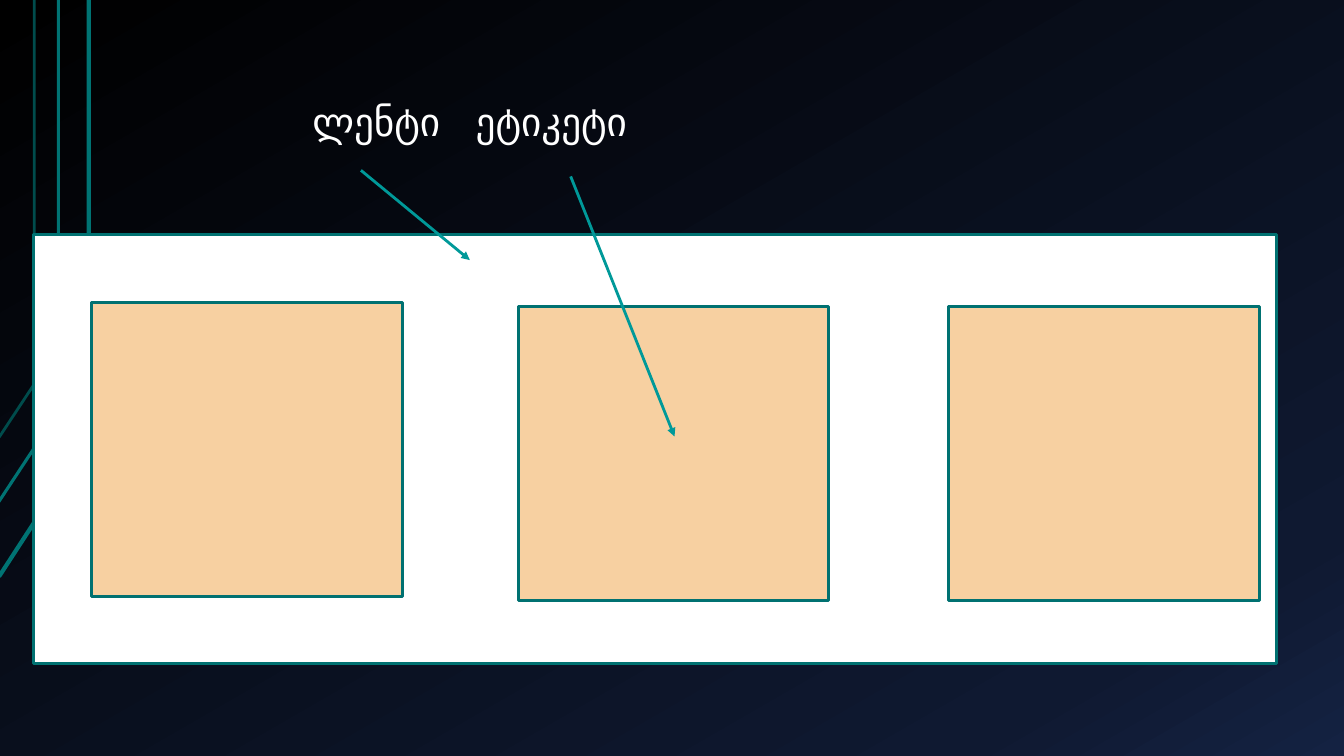
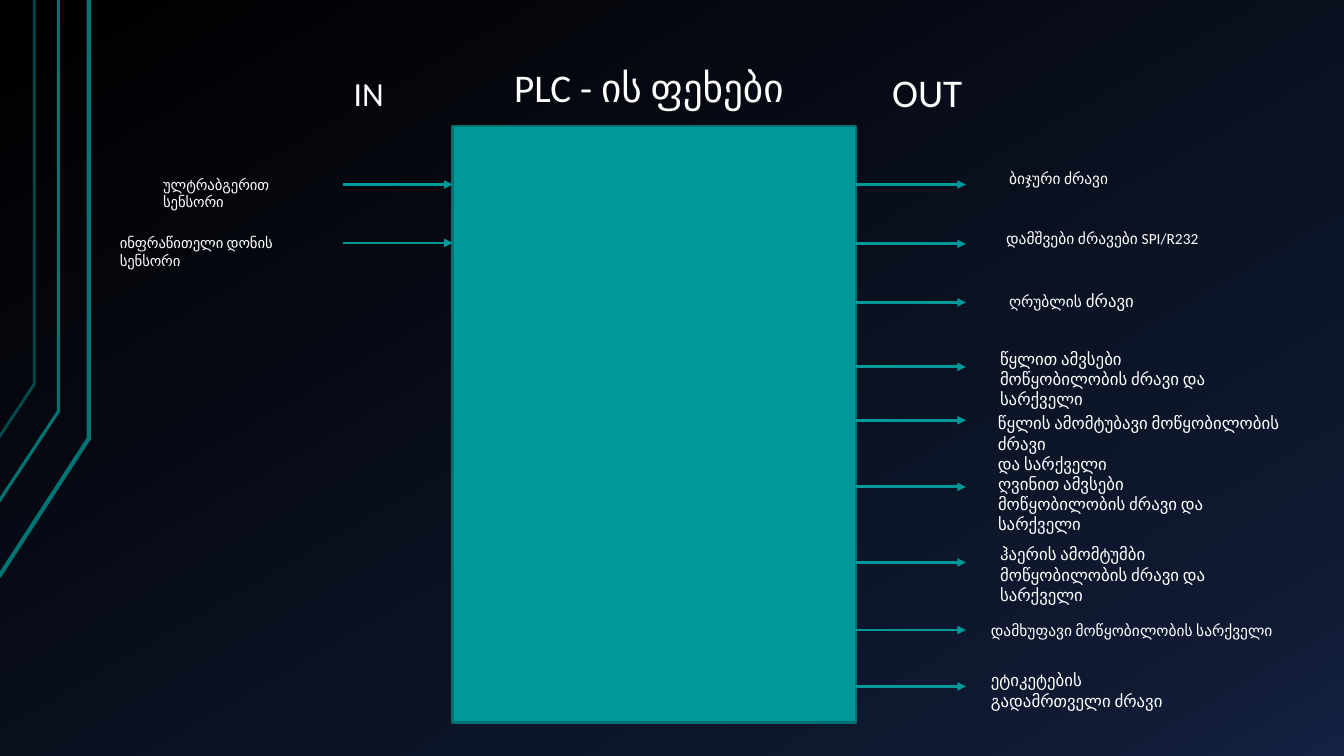
from lxml import etree
from pptx import Presentation
from pptx.dml.color import RGBColor
from pptx.enum.shapes import MSO_CONNECTOR, MSO_SHAPE
from pptx.enum.text import MSO_ANCHOR, MSO_AUTO_SIZE, PP_ALIGN
from pptx.oxml.ns import qn
from pptx.util import Inches, Pt

# Shared look
FONT = "Calibri"
WHITE = RGBColor(0xFF, 0xFF, 0xFF)
TEAL = RGBColor(0x00, 0x99, 0x99)
DARK_TEAL = RGBColor(0x00, 0x71, 0x71)
TRACK_TEAL = RGBColor(0x00, 0x73, 0x73)
INNER_TRACK = RGBColor(0x00, 0x4C, 0x4C)
PEACH = RGBColor(0xF7, 0xD0, 0xA1)
BACKDROP = [(0, RGBColor(0, 0, 0)), (85, RGBColor(0x0F, 0x19, 0x31)),
            (100, RGBColor(0x14, 0x22, 0x42))]
BACKDROP_ANGLE = 300  # counter-clockwise
# Bent tracks at the left edge: points, line width, colour
TRACKS = [
    ([(-0.01, 5.72), (0.88, 4.35), (0.88, 0)], 3, TRACK_TEAL),
    ([(-0.02, 4.99), (0.58, 4.08), (0.58, 0)], 2.25, TRACK_TEAL),
    ([(-0.01, 4.34), (0.34, 3.81), (0.34, 0)], 2, INNER_TRACK),
]

# Slide 1: label tape; captions are text, left, top, width, size
TAPE = (0.33, 2.33, 12.33, 4.25)
STICKER_SIZE = (3.08, 2.92)
STICKER_CORNERS = [(0.91, 3), (5.14, 3.04), (9.41, 3.04)]
TAPE_CAPTIONS = [("ლენტი", 3, 0.92, 1.6, 28), ("ეტიკეტი", 4.62, 0.92, 1.9, 28)]
TAPE_POINTERS = [((3.58, 1.69), (4.66, 2.58)), ((5.66, 1.75), (6.69, 4.33))]

# Slide 2: controller pins
PLC_TITLE = ("PLC - ის ფეხები", 5, 0.58, 3.33, 28)
PLC_BODY = (4.49, 1.25, 4, 5.92)
PIN_LENGTH = 1.09
PIN_HEADINGS = [("IN", 3.41, 0.67, 0.6, 24), ("OUT", 8.75, 0.63, 1, 28)]
# Pin height, then the caption
INPUTS = [
    (1.83, ("ულტრაბგერით სენსორი", 1.52, 1.69, 1.7, 10.5)),
    (2.41, ("ინფრაწითელი დონის სენსორი", 1.09, 2.27, 2.1, 10.5)),
]
OUTPUTS = [
    (1.83, ("ბიჯური ძრავი", 9.91, 1.63, 2.25, 11)),
    (2.42, ("დამშვები ძრავები SPI/R232", 9.88, 2.22, 2.4, 11)),
    (3, ([("ღრუბლის", 11), (" ძრავი", 12)], 9.91, 2.84, 2.37, 12)),
    (3.64, ("წყლით ამვსები მოწყობილობის ძრავი და სარქველი", 9.82, 3.41, 2.37, 12)),
    (4.17, ("წყლის ამომტუბავი მოწყობილობის ძრავი\nდა სარქველი", 9.8, 4.05, 3.3, 12)),
    (4.83, ("ღვინით ამვსები მოწყობილობის ძრავი და სარქველი", 9.8, 4.65, 2.32, 12)),
    (5.58, ("ჰაერის ამომტუმბი მოწყობილობის ძრავი და სარქველი", 9.82, 5.35, 2.32, 12)),
    (6.25, ("დამხუფავი მოწყობილობის სარქველი", 9.73, 6.11, 3.5, 11)),
    (6.81, ("ეტიკეტების გადამრთველი ძრავი", 9.73, 6.6, 2.32, 12)),
]


def fill_text(frame, content, size):
    """Write a string, or a list of (text, size) runs."""
    frame.word_wrap = True
    frame.auto_size = MSO_AUTO_SIZE.NONE
    frame.vertical_anchor = MSO_ANCHOR.TOP
    if isinstance(content, str):
        frame.text = content
    else:
        for words, run_size in content:
            run = frame.paragraphs[0].add_run()
            run.text = words
            run.font.size = Pt(run_size)
    for paragraph in frame.paragraphs:
        paragraph.alignment = PP_ALIGN.LEFT
        paragraph.font.name = FONT
        paragraph.font.size = Pt(size)
        paragraph.font.color.rgb = WHITE


def add_caption(slide, content, left, top, width, size):
    height = size / 72 * 1.2 + 0.1
    box = slide.shapes.add_textbox(*map(Inches, (left, top, width, height)))
    fill_text(box.text_frame, content, size)


def set_title(slide, content, left, top, width, size):
    title = slide.shapes.title
    title.left, title.top, title.width, title.height = map(
        Inches, (left, top, width, 0.57))
    fill_text(title.text_frame, content, size)


def add_block(slide, box, color):
    block = slide.shapes.add_shape(MSO_SHAPE.RECTANGLE, *map(Inches, box))
    block.shadow.inherit = False
    block.fill.solid()
    block.fill.fore_color.rgb = color
    block.line.color.rgb = DARK_TEAL
    block.line.width = Pt(2)


def add_arrow(slide, start, end):
    arrow = slide.shapes.add_connector(
        MSO_CONNECTOR.STRAIGHT, *map(Inches, (*start, *end)))
    arrow.line.color.rgb = TEAL
    arrow.line.width = Pt(2)
    properties = arrow.element.spPr
    etree.SubElement(properties.find(qn("a:ln")), qn("a:tailEnd"), type="triangle")
    etree.SubElement(properties, qn("a:effectLst"))


def style_master(master, slide):
    """Gradient and tracks; the tracks are drawn on slide, then moved."""
    fill = master.background.fill
    fill.gradient()
    fill.gradient_angle = BACKDROP_ANGLE
    stops = master.element.find(".//" + qn("p:bgPr")).find(".//" + qn("a:gsLst"))
    for stop in list(stops):
        stops.remove(stop)
    for position, color in BACKDROP:
        stop = etree.SubElement(stops, qn("a:gs"), pos=str(position * 1000))
        etree.SubElement(stop, qn("a:srgbClr"), val=str(color))

    for number, (points, width, color) in enumerate(TRACKS):
        start, *rest = [(Inches(x), Inches(y)) for x, y in points]
        outline = slide.shapes.build_freeform(*start)
        outline.add_line_segments(rest, close=False)
        track = outline.convert_to_shape()
        track.shadow.inherit = False
        track.fill.background()
        track.line.color.rgb = color
        track.line.width = Pt(width)
        track.element.find(".//" + qn("p:cNvPr")).set("id", str(20 + number))
        master.shapes.element.append(track.element)


def build_tape(slide):
    add_block(slide, TAPE, WHITE)
    for corner in STICKER_CORNERS:
        add_block(slide, (*corner, *STICKER_SIZE), PEACH)
    for caption in TAPE_CAPTIONS:
        add_caption(slide, *caption)
    for start, end in TAPE_POINTERS:
        add_arrow(slide, start, end)


def build_pins(slide):
    set_title(slide, *PLC_TITLE)
    add_block(slide, PLC_BODY, TEAL)
    for heading in PIN_HEADINGS:
        add_caption(slide, *heading)
    left, right = PLC_BODY[0], PLC_BODY[0] + PLC_BODY[2]
    for pins, start in ((INPUTS, left - PIN_LENGTH), (OUTPUTS, right)):
        for height, caption in pins:
            add_arrow(slide, (start, height), (start + PIN_LENGTH, height))
            add_caption(slide, *caption)


def main():
    deck = Presentation()
    deck.slide_width, deck.slide_height = Inches(13.33), Inches(7.5)
    title_only, blank = deck.slide_layouts[5], deck.slide_layouts[6]
    tape_slide = deck.slides.add_slide(blank)
    style_master(deck.slide_master, tape_slide)
    build_tape(tape_slide)
    build_pins(deck.slides.add_slide(title_only))
    deck.save("out.pptx")


if __name__ == "__main__":
    main()
